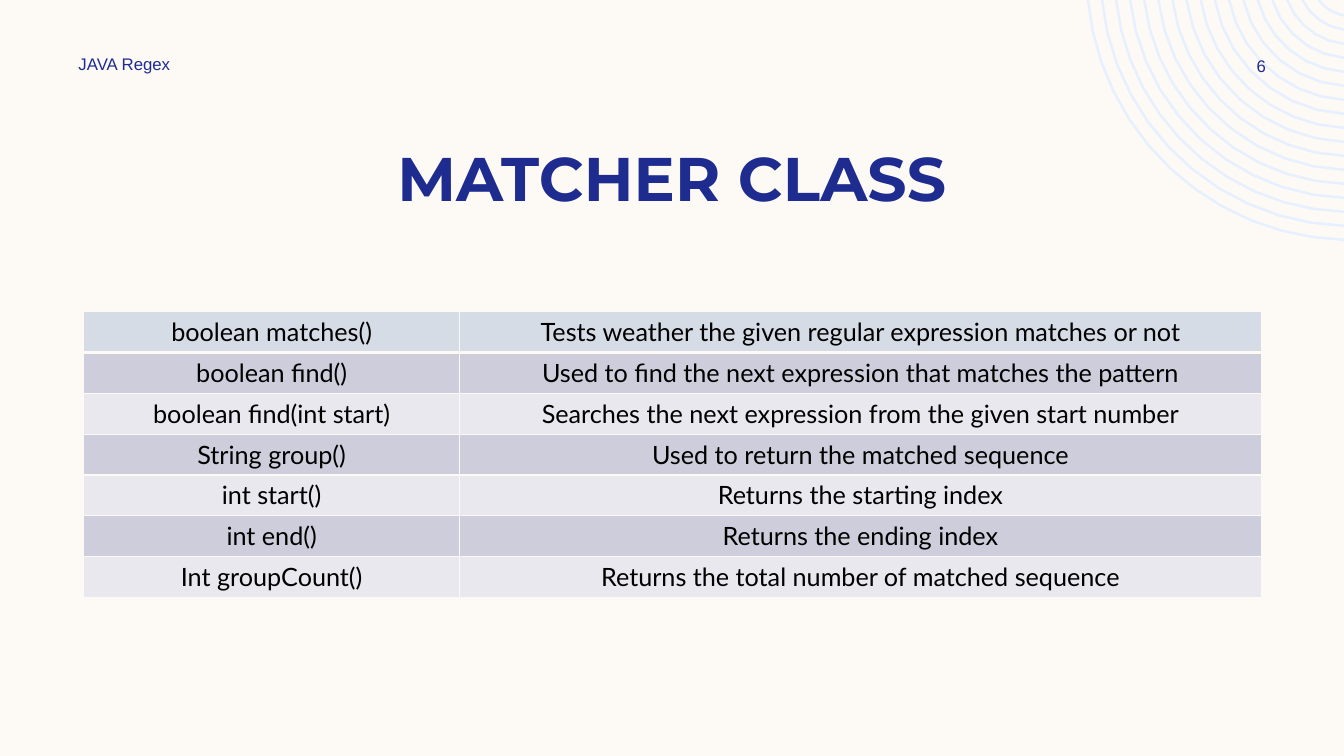
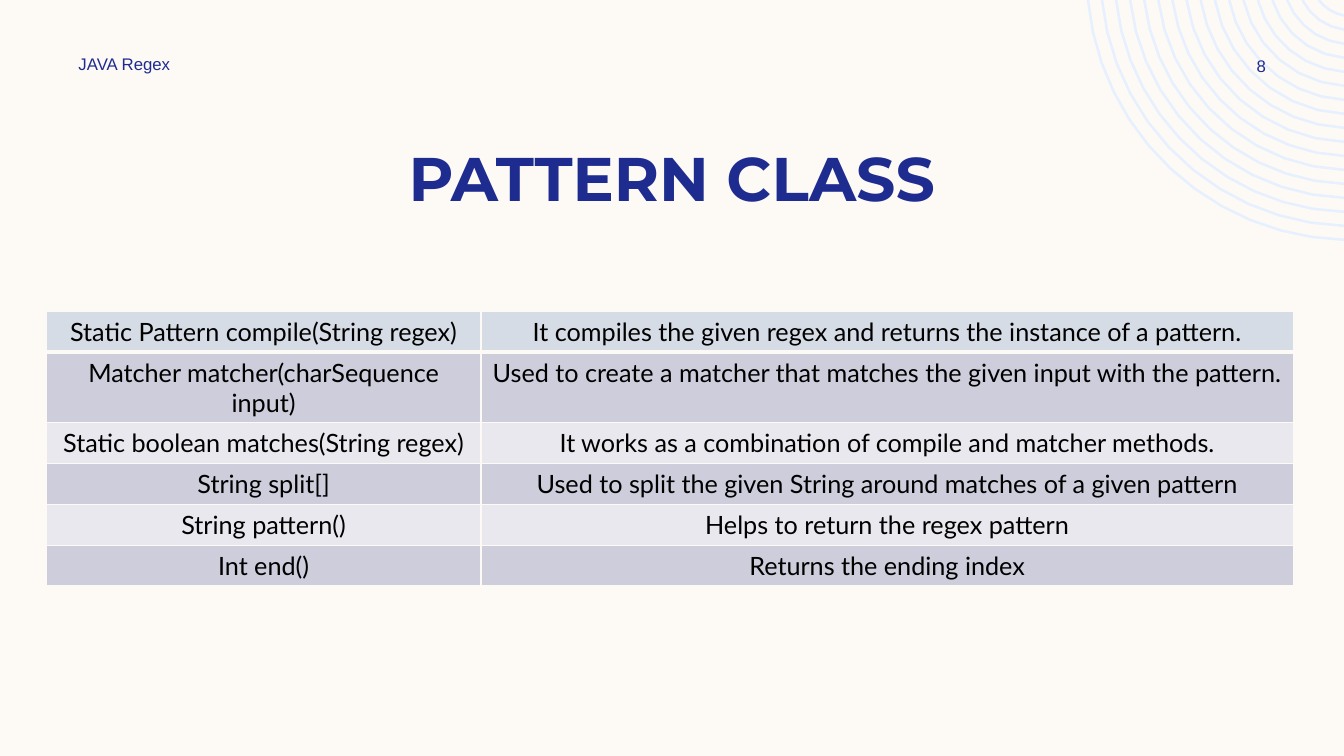
from math import asin, acos, cos, sin

from lxml import etree
from pptx import Presentation, util as u
from pptx.dml.color import RGBColor
from pptx.enum import text
from pptx.oxml.ns import qn

theme = {
    "paper": RGBColor.from_string("FDFAF6"),
    "ring": RGBColor.from_string("E6F0FE"),
    "head": RGBColor.from_string("D6DCE5"),
    "bands": [RGBColor.from_string("E8E8EE"), RGBColor.from_string("CDCDDB")],
    "title": {"name": "Montserrat", "size": u.Pt(44), "bold": True, "color": "1F2C8F"},
    "label": {"name": "Arial", "size": u.Pt(12), "color": "1F2C8F"},
    "cell": {"name": "Lato", "size": u.Pt(18), "color": "000000"},
}
left, mid = text.PP_ALIGN.LEFT, text.PP_ALIGN.CENTER
wide = 13.33

pages = [
    {
        "title": "MATCHER CLASS",
        "page": "6",
        "box": (0.83, 3.09, 11.68, 2.84),
        "cols": (3.73, 7.95),
        "rows": [
            ("boolean matches()", "Tests weather the given regular expression matches or not"),
            ("boolean find()", "Used to find the next expression that matches the pattern"),
            ("boolean find(int start)", "Searches the next expression from the given start number"),
            ("String group()", "Used to return the matched sequence"),
            ("int start()", "Returns the starting index"),
            ("int end()", "Returns the ending index"),
            ("Int groupCount()", "Returns the total number of matched sequence"),
        ],
    },
    {
        "title": "PATTERN CLASS",
        "page": "8",
        "box": (0.46, 3.09, 12.37, 2.43),
        "cols": (4.31, 8.06),
        "rows": [
            ("Static Pattern compile(String regex)",
             "It compiles the given regex and returns the instance of a pattern."),
            ("Matcher matcher(charSequence input)",
             "Used to create a matcher that matches the given input with the pattern."),
            ("Static boolean matches(String regex)",
             "It works as a combination of compile and matcher methods."),
            ("String split[]", "Used to split the given String around matches of a given pattern"),
            ("String pattern()", "Helps to return the regex pattern"),
            ("Int end()", "Returns the ending index"),
        ],
    },
]


def write(frame, words, style, align):
    para = frame.paragraphs[0]
    para.alignment = align
    run = para.add_run()
    run.text = words
    for key, val in style.items():
        if key == "color":
            run.font.color.rgb = RGBColor.from_string(val)
        else:
            setattr(run.font, key, val)


def arc(rad, steps):
    cx, cy = 13.4, -0.24
    start, end = asin(-cy / rad), acos((cx - wide) / rad)
    turns = [start + (end - start) * i / steps for i in range(steps + 1)]
    return [(u.Inches(cx - rad * cos(t)), u.Inches(cy + rad * sin(t))) for t in turns]


prs = Presentation()
prs.slide_width, prs.slide_height = u.Inches(wide), u.Inches(7.5)
back = prs.slide_master.background.fill
back.solid()
back.fore_color.rgb = theme["paper"]

count, inner, outer = 17, 0.4, 2.62
gap = (outer - inner) / (count - 1)
rings = [arc(inner + gap * i, 4 + i // 2) for i in range(count)]

for page in pages:
    slide = prs.slides.add_slide(prs.slide_layouts[6])
    shapes = slide.shapes

    pen = shapes.build_freeform(*rings[0][0], scale=1.0)
    pen.add_line_segments(rings[0][1:], close=False)
    for ring in rings[1:]:
        pen.move_to(*ring[0])
        pen.add_line_segments(ring[1:], close=False)
    deco = pen.convert_to_shape()
    deco.shadow.inherit = False
    deco.fill.background()
    deco.line.color.rgb = theme["ring"]
    deco.line.width = u.Pt(1.8)

    for words, box, style, align in [
        (page["title"], (0.83, 1.33, 11.67, 0.84), "title", mid),
        ("JAVA Regex", (0.68, 0.48, 3.5, 0.3), "label", left),
        (page["page"], (11.97, 0.5, 1.08, 0.3), "label", mid),
    ]:
        frame = shapes.add_textbox(*map(u.Inches, box)).text_frame
        frame.word_wrap = True
        frame.vertical_anchor = text.MSO_ANCHOR.MIDDLE
        write(frame, words, theme[style], align)

    rows = page["rows"]
    grid = shapes.add_table(len(rows), 2, *map(u.Inches, page["box"])).table
    grid.first_row = grid.horz_banding = False
    for col, width in zip(grid.columns, page["cols"]):
        col.width = u.Inches(width)
    for r, row in enumerate(rows):
        for c, words in enumerate(row):
            cell = grid.cell(r, c)
            write(cell.text_frame, words, theme["cell"], mid)
            props = cell._tc.get_or_add_tcPr()
            for side in ("lnL", "lnR", "lnT", "lnB"):
                thick = (r, side) in [(0, "lnB"), (1, "lnT")]
                line = etree.SubElement(props, qn("a:" + side), w=str(u.Pt(3 if thick else 1)))
                fill = etree.SubElement(line, qn("a:solidFill"))
                etree.SubElement(fill, qn("a:srgbClr"), val=str(theme["paper"]))
            cell.fill.solid()
            cell.fill.fore_color.rgb = theme["bands"][r % 2] if r else theme["head"]

prs.save("out.pptx")
